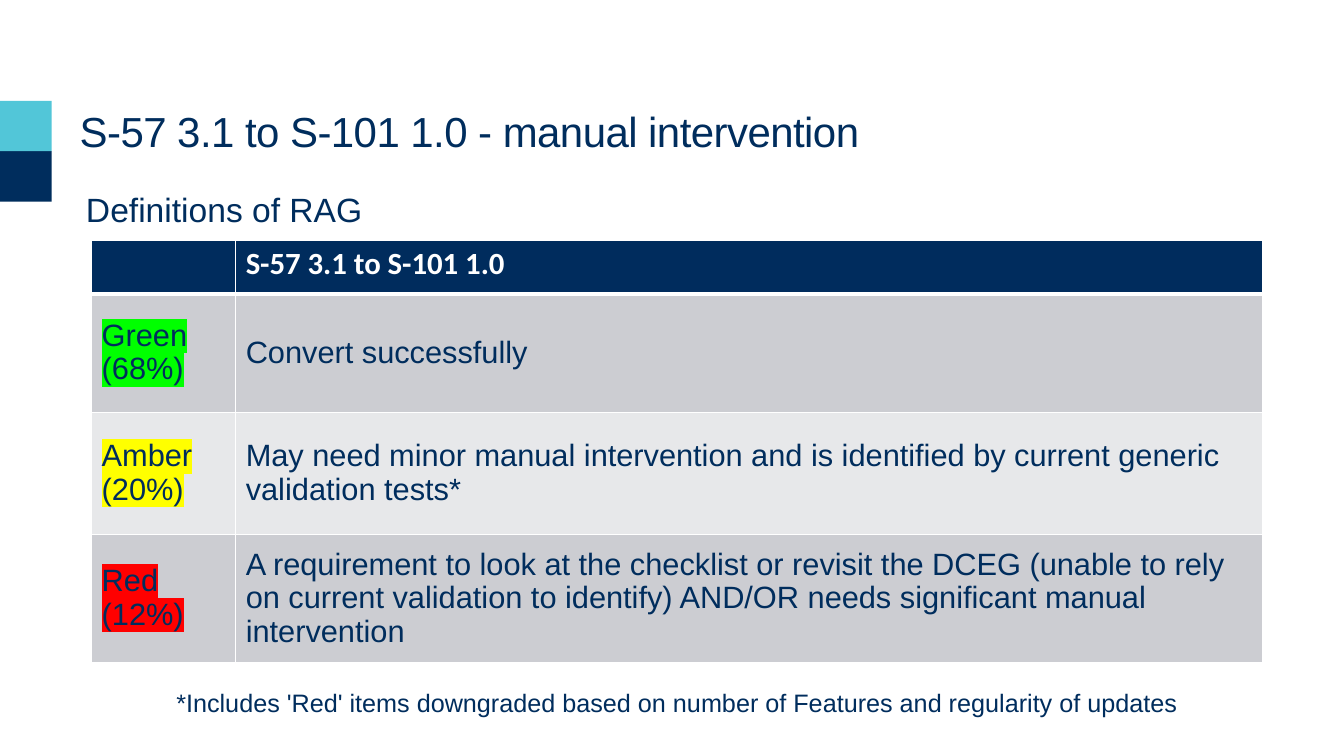
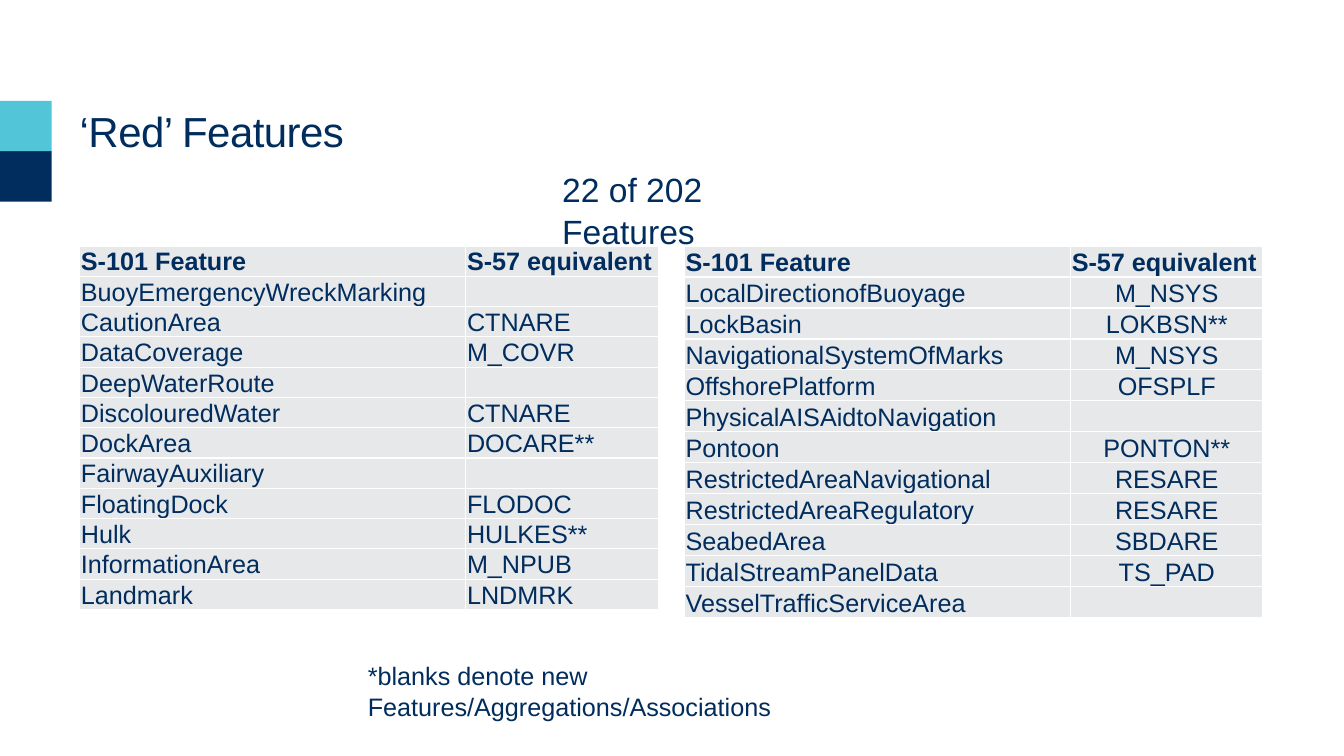
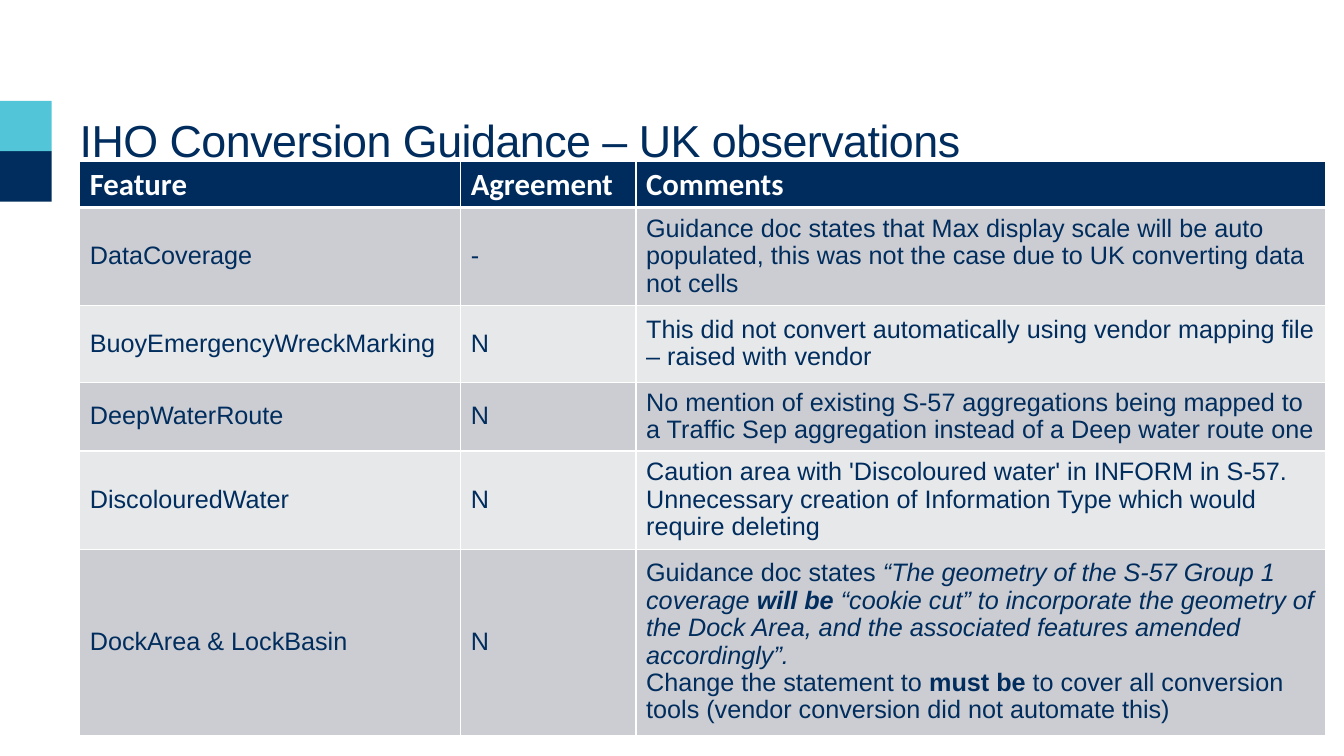
from lxml import etree
from pptx import Presentation
from pptx import util as u
from pptx.dml.color import RGBColor
from pptx.enum import shapes, text
from pptx.oxml import ns

Cm, Pt = u.Cm, u.Pt
MID, LOW, TOP = text.MSO_ANCHOR.MIDDLE, text.MSO_ANCHOR.BOTTOM, text.MSO_ANCHOR.TOP
LEFT, MIDDLE = text.PP_ALIGN.LEFT, text.PP_ALIGN.CENTER
hue = {
    "navy": "002D5D", "head": "002C5D", "aqua": "52C6D8", "white": "FFFFFF",
    "dark": "CCCDD2", "pale": "E7E8EA",
    "green": "00FF00", "amber": "FFFF00", "red": "FF0000",
}


def put(frame, paras, size=18, font="Arial", color="navy", bold=False,
        align=LEFT, gap=1.04, mark=None, track=None):
    frame.word_wrap = True
    for i, para in enumerate(paras):
        p = frame.paragraphs[0] if i == 0 else frame.add_paragraph()
        p.alignment, p.line_spacing = align, gap
        for words, style in [(para, "")] if isinstance(para, str) else para:
            r = p.add_run()
            r.text = words
            r.font.size, r.font.name = Pt(size), font
            r.font.bold, r.font.italic = bold or "b" in style, "i" in style
            r.font.color.rgb = RGBColor.from_string(hue[color])
            props = r.font._element
            if track:
                props.set("spc", str(track))
            if mark:
                tint = etree.Element(ns.qn("a:highlight"))
                etree.SubElement(tint, ns.qn("a:srgbClr"), val=hue[mark])
                props.find(ns.qn("a:solidFill")).addnext(tint)


def grid(slide, left, top, cols, rows, cells, fills, style, edge=None, pad=None):
    frame = slide.shapes.add_table(len(rows), len(cols), Cm(left), Cm(top),
                                   Cm(sum(cols)), Cm(sum(rows)))
    table = frame.table
    for i, wide in enumerate(cols):
        table.columns[i].width = Cm(wide)
    for y, high in enumerate(rows):
        table.rows[y].height = Cm(high)
        for x in range(len(cols)):
            cell = table.cell(y, x)
            cell.fill.solid()
            cell.fill.fore_color.rgb = RGBColor.from_string(hue[fills[y]])
            look = style(y, x)
            cell.vertical_anchor = look.pop("anchor")
            if pad is not None:
                cell.margin_left = cell.margin_right = Cm(pad)
                cell.margin_top = cell.margin_bottom = 0
            if cells[y][x]:
                put(cell.text_frame, cells[y][x], **look)
            else:
                etree.SubElement(cell.text_frame.paragraphs[0]._p,
                                 ns.qn("a:endParaRPr"), sz="1200")
            for i, side in enumerate("LRTB"):
                thick = (side, y) in (("B", 0), ("T", 1)) and edge
                line = etree.Element(ns.qn("a:ln" + side), w=str(Pt(edge if thick else 1)))
                paint = etree.SubElement(line, ns.qn("a:solidFill"))
                etree.SubElement(paint, ns.qn("a:srgbClr"), val=hue["white"])
                cell._tc.get_or_add_tcPr().insert(i, line)


deck = Presentation()
deck.slide_width, deck.slide_height = Cm(33.87), Cm(19.05)
titles = [
    ("S-57 3.1 to S-101 1.0 - manual intervention", 21.39, 30, Pt(32)),
    ("‘Red’ Features", 13.97, 30, Pt(32)),
    ("IHO Conversion Guidance – UK observations", 24.82, 32, 1.04),
]
notes = [
    (0, "*Includes 'Red' items downgraded based on number of Features and regularity of updates",
     3.84, 17.17, 26.44, 18, MIDDLE),
    (0, "Definitions of RAG", 1.27, 4.6, 8.76, 24, MIDDLE),
    (1, "*blanks denote new Features/Aggregations/Associations", 9.02, 16.48, 11.8, 18, LEFT),
    (1, "22 of 202 Features", 13.92, 4.09, 7.26, 24, LEFT),
]

for title, wide, size, gap in titles:
    slide = deck.slides.add_slide(deck.slide_layouts[6])
    for top, color in ((3.81, "navy"), (2.54, "aqua")):
        band = slide.shapes.add_shape(shapes.MSO_SHAPE.RECTANGLE, 0, Cm(top), Cm(1.3), Cm(1.27))
        band.shadow.inherit = False
        band.fill.solid()
        band.fill.fore_color.rgb = RGBColor.from_string(hue[color])
        band.line.fill.background()
    box = slide.shapes.add_textbox(Cm(2.01), Cm(2.79), Cm(wide), Cm(2.44)).text_frame
    box.margin_left = box.margin_right = box.margin_top = box.margin_bottom = 0
    put(box, [title], size=size, gap=gap, track=-40)

rag, red, guide = deck.slides

marks = [None, "green", "amber", "red"]
grid(
    rag, 2.31, 6.05, [3.63, 25.88], [1.35, 3, 3.07, 3.23],
    [
        [None, ["S-57 3.1 to S-101 1.0"]],
        [["Green (68%)"], ["Convert successfully"]],
        [["Amber", "(20%)"],
         ["May need minor manual intervention and is identified by current generic validation tests*"]],
        [["Red", "(12%)"],
         ["A requirement to look at the checklist or revisit the DCEG (unable to rely on current "
          "validation to identify) AND/OR needs significant manual intervention"]],
    ],
    ["head", "dark", "pale", "dark"],
    lambda y, x: dict(anchor=MID, size=22, gap=0.97, mark=None if x else marks[y]) if y
    else dict(anchor=TOP, size=22, font="Calibri", color="white", bold=True, gap=1),
    edge=3,
)

heads = ("S-101 Feature", "S-57 equivalent")
first = [
    heads, ("BuoyEmergencyWreckMarking", ""), ("CautionArea", "CTNARE"),
    ("DataCoverage", "M_COVR"), ("DeepWaterRoute", ""), ("DiscolouredWater", "CTNARE"),
    ("DockArea", "DOCARE**"), ("FairwayAuxiliary", ""), ("FloatingDock", "FLODOC"),
    ("Hulk", "HULKES**"), ("InformationArea", "M_NPUB"), ("Landmark", "LNDMRK"),
]
second = [
    heads, ("LocalDirectionofBuoyage", "M_NSYS"), ("LockBasin", "LOKBSN**"),
    ("NavigationalSystemOfMarks", "M_NSYS"), ("OffshorePlatform", "OFSPLF"),
    ("PhysicalAISAidtoNavigation", ""), ("Pontoon", "PONTON**"),
    ("RestrictedAreaNavigational", "RESARE"), ("RestrictedAreaRegulatory", "RESARE"),
    ("SeabedArea", "SBDARE"), ("TidalStreamPanelData", "TS_PAD"),
    ("VesselTrafficServiceArea", ""),
]
for pairs, left, high, side in ((first, 2.01, 0.73, LEFT), (second, 17.25, 0.78, MIDDLE)):
    grid(
        red, left, 6.2, [9.73, 4.85], [high] * 11 + [0.78],
        [[[word] if word else None for word in pair] for pair in pairs],
        ["pale"] * 12,
        lambda y, x: dict(anchor=LOW, bold=y == 0, gap=1, align=side if x and y else LEFT),
        pad=0.03,
    )

grid(
    guide, 2.01, 4.06, [9.6, 4.42, 17.37], [1.17, 2.4, 1.93, 1.69, 2.41, 4.5],
    [
        [["Feature"], ["Agreement"], ["Comments"]],
        [["DataCoverage"], ["-"],
         ["Guidance doc states that Max display scale will be auto populated, this was not the "
          "case due to UK converting data not cells"]],
        [["BuoyEmergencyWreckMarking"], ["N"],
         ["This did not convert automatically using vendor mapping file – raised with vendor"]],
        [["DeepWaterRoute"], ["N"],
         ["No mention of existing S-57 aggregations being mapped to a Traffic Sep aggregation "
          "instead of a Deep water route one"]],
        [["DiscolouredWater"], ["N"],
         ["Caution area with 'Discoloured water' in INFORM in S-57. Unnecessary creation of "
          "Information Type which would require deleting"]],
        [["DockArea & LockBasin"], ["N"], [
            [("Guidance doc states ", ""),
             ("“The geometry of the S-57 Group 1 coverage ", "i"),
             ("will be ", "bi"),
             ("“cookie cut” to incorporate the geometry of the Dock Area, and the associated "
              "features amended accordingly”.", "i")],
            [("Change the statement to ", ""), ("must be ", "b"),
             ("to cover all conversion tools (vendor conversion did not automate this)", "")],
        ]],
    ],
    ["head", "dark", "pale", "dark", "pale", "dark"],
    lambda y, x: dict(anchor=MID, gap=0.97) if y
    else dict(anchor=TOP, size=22, font="Calibri", color="white", bold=True, gap=0.97),
    edge=3,
)

for page, words, left, top, wide, size, align in notes:
    box = deck.slides[page].shapes.add_textbox(Cm(left), Cm(top), Cm(wide), Cm(size / 18))
    put(box.text_frame, [words], size=size, align=align)

deck.save("out.pptx")
